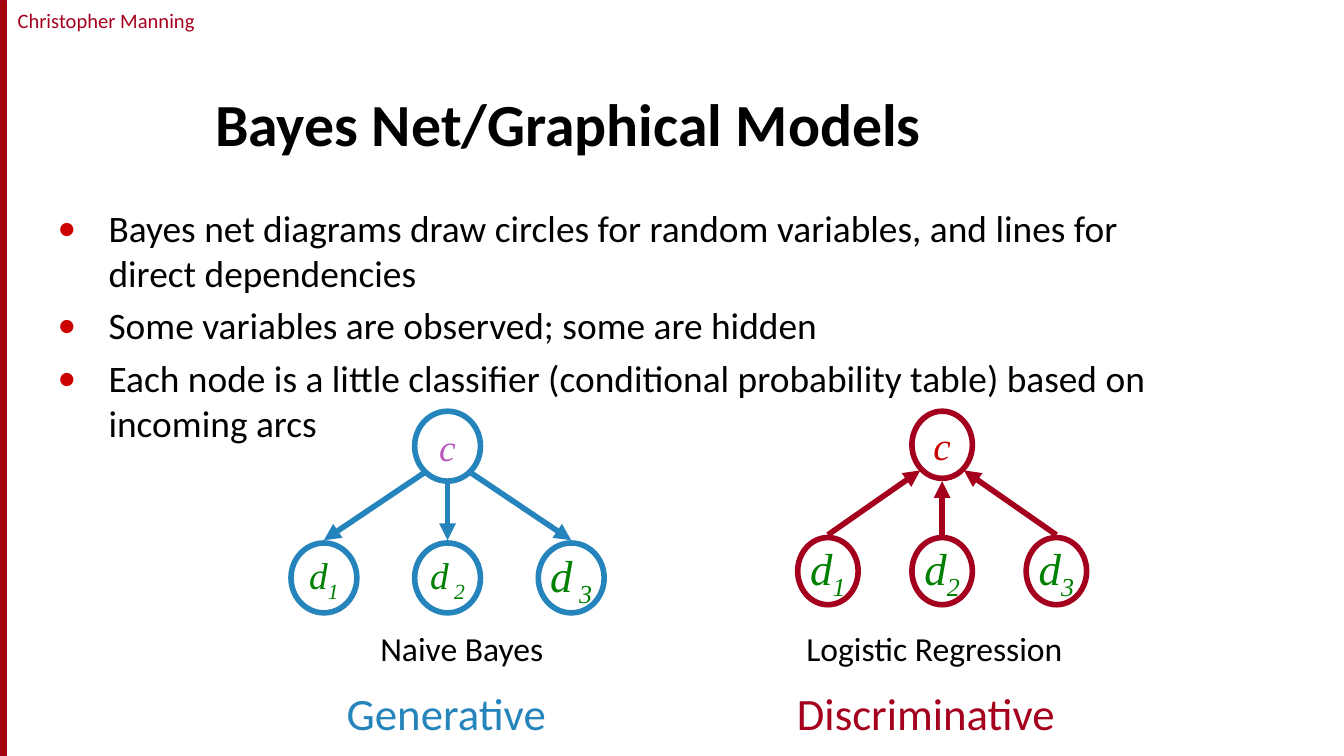
import pptx
import pptx.util
from pptx.dml.color import RGBColor
from pptx.enum.shapes import MSO_CONNECTOR, MSO_SHAPE
from pptx.enum.text import MSO_ANCHOR, PP_ALIGN
from pptx.oxml.ns import qn
from lxml import etree

Inches = pptx.util.Inches
Pt = pptx.util.Pt

COLORS = {
    "black": "000000", "crimson": "A4001D", "bar": "A40508", "blue": "2584BB",
    "red": "CC0000", "violet": "BB57BE", "green": "008000",
}


def style(paragraph, size, color, name="Calibri"):
    paragraph.font.size = Pt(size)
    paragraph.font.name = name
    paragraph.font.color.rgb = RGBColor.from_string(COLORS[color])


def add_text(page, bounds, text, size, color, inset=(0.08, 0.04), wrap=False):
    box = page.shapes.add_textbox(*[Inches(value) for value in bounds])
    frame = box.text_frame
    frame.word_wrap = wrap
    frame.margin_left = frame.margin_right = Inches(inset[0])
    frame.margin_top = frame.margin_bottom = Inches(inset[1])
    frame.text = text
    for para in frame.paragraphs:
        style(para, size, color)
    return box


# A 16:9 page
deck = pptx.Presentation()
deck.slide_width = Inches(10)
deck.slide_height = deck.slide_width * 9 // 16
page = deck.slides.add_slide(deck.slide_layouts[5])

# Author line and left edge bar
author = add_text(page, (0.08, 0.01, 1.42, 0.29), "Christopher Manning", 11, "crimson", (0, 0.05))
author.text_frame.paragraphs[0].alignment = PP_ALIGN.CENTER
bar = page.shapes.add_shape(MSO_SHAPE.RECTANGLE, 0, 0, Inches(0.05), deck.slide_height)
bar.shadow.inherit = False
bar.fill.solid()
bar.fill.fore_color.rgb = RGBColor.from_string(COLORS["bar"])
bar.line.color.rgb = RGBColor.from_string(COLORS["crimson"])
bar.line.width = Pt(0.75)

# Title
title = page.shapes.title
title.left, title.top, title.width, title.height = [Inches(v) for v in (1.5, 0.42, 8.17, 0.81)]
title.text_frame.text = "Bayes Net/Graphical Models"
title.text_frame.vertical_anchor = MSO_ANCHOR.BOTTOM
heading = title.text_frame.paragraphs[0]
heading.alignment = PP_ALIGN.LEFT
style(heading, 32, "black")
heading.font.bold = True

# Bullets
points = [
    "Bayes net diagrams draw circles for random variables, and lines for direct dependencies",
    "Some variables are observed; some are hidden",
    "Each node is a little classifier (conditional probability table) based on incoming arcs",
]
body = add_text(page, (0.33, 1.48, 9.33, 3.65), "\n".join(points), 20, "black", (0.1, 0.05), True)
body.text_frame.margin_right = Inches(0.8)
for para in body.text_frame.paragraphs:
    para.space_before = Pt(4)
    properties = para._p.get_or_add_pPr()
    properties.set("marL", str(Inches(0.38)))
    properties.set("indent", str(-Inches(0.38)))
    bullet_color = etree.Element(qn("a:buClr"))
    etree.SubElement(bullet_color, qn("a:srgbClr"), val=COLORS["red"])
    bullet_font = etree.Element(qn("a:buFont"), typeface="Calibri")
    bullet = etree.Element(qn("a:buChar"), char="•")
    # Bullet settings sit after the spacing and before the default run properties
    for element in (bullet_color, bullet_font, bullet):
        properties.find(qn("a:defRPr")).addprevious(element)

# Diagrams: center, node width and height, child top, child gap, line color,
# arrow end, (size, color) of c, and (subscript, size) of each d
PARENT_TOP = 3.06
diagrams = [
    (3.33, 0.49, 0.52, 4.04, 0.92, "blue", "a:tailEnd", (20, "violet"),
     [("1", 20), (" 2", 20), (" 3", 24)]),
    (7.01, 0.45, 0.5, 4.0, 0.85, "crimson", "a:headEnd", (21, "red"),
     [("1", 24), ("2", 24), ("3", 24)]),
]
for center, width, height, child_top, gap, color, arrow_end, root, children in diagrams:
    group = page.shapes.add_group_shape()
    line_color = RGBColor.from_string(COLORS[color])

    nodes = [(center, PARENT_TOP, "c", "", *root)]
    for side, (subscript, size) in zip((-1, 0, 1), children):
        nodes.append((center + side * gap, child_top, "d", subscript, size, "green"))
    for x, top, letter, subscript, size, text_color in nodes:
        node = group.shapes.add_shape(MSO_SHAPE.OVAL, Inches(x - width / 2), Inches(top),
                                      Inches(width), Inches(height))
        node.shadow.inherit = False
        node.fill.background()
        node.line.color.rgb = line_color
        node.line.width = Pt(3)
        node.text_frame.word_wrap = False
        node.text_frame.vertical_anchor = MSO_ANCHOR.MIDDLE
        para = node.text_frame.paragraphs[0]
        para.alignment = PP_ALIGN.CENTER
        style(para, size, text_color, "Times New Roman")
        para.font.italic = True
        para.add_run().text = letter
        if subscript:
            span = para.add_run()
            span.text = subscript
            span._r.get_or_add_rPr().set("baseline", "-25000")

    for side in (-1, 0, 1):
        start_y = PARENT_TOP + height + (-0.06 if side else 0.02)
        link = group.shapes.add_connector(
            MSO_CONNECTOR.STRAIGHT,
            Inches(center + side * 0.36 * width), Inches(start_y),
            Inches(center + side * gap), Inches(child_top - 0.02))
        link.line.color.rgb = line_color
        link.line.width = Pt(3)
        etree.SubElement(link.line._get_or_add_ln(), qn(arrow_end), type="triangle")
        etree.SubElement(link._element.spPr, qn("a:effectLst"))

# Captions
add_text(page, (2.75, 4.63, 2.17, 0.38), "Naive Bayes", 18, "black", wrap=True)
add_text(page, (2.5, 5.06, 1.65, 0.48), "Generative", 24, "blue")
add_text(page, (5.92, 4.63, 2.08, 0.38), "Logistic Regression", 18, "black")
add_text(page, (5.85, 5.06, 2.09, 0.48), "Discriminative", 24, "crimson")

deck.save("out.pptx")
